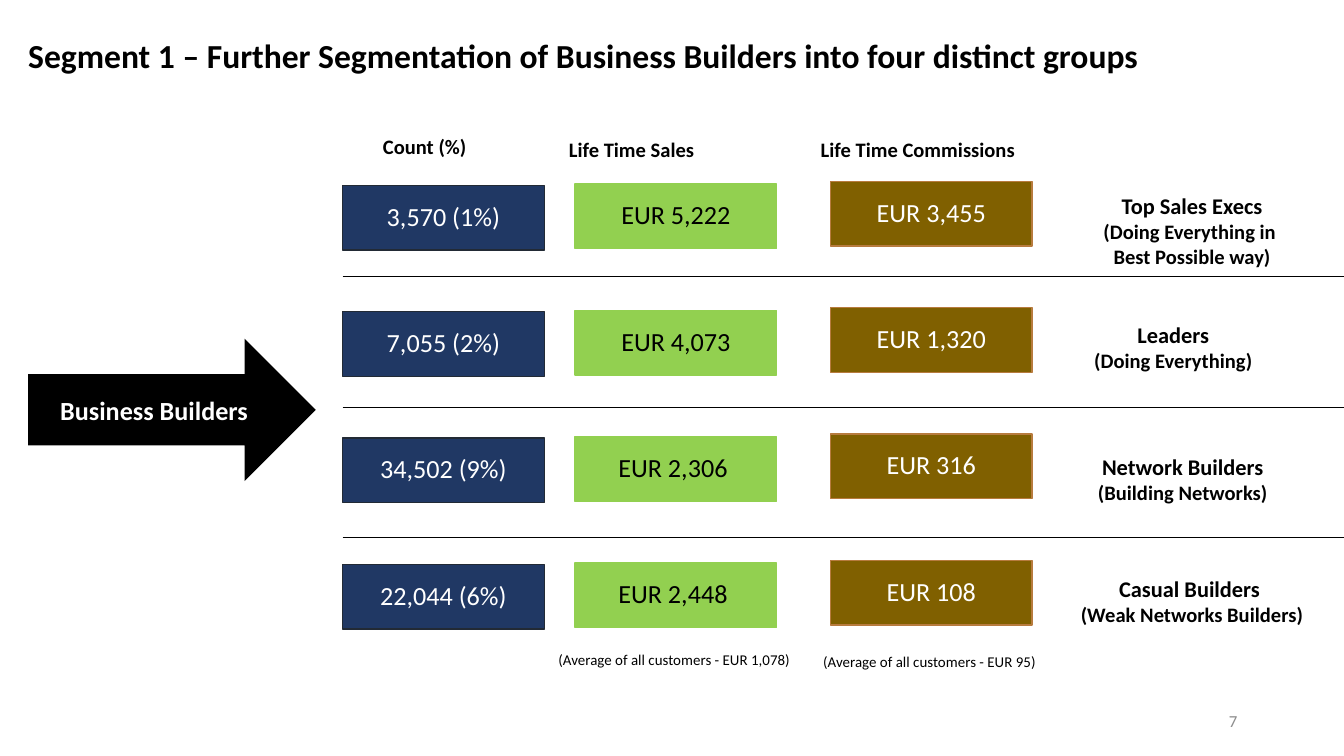
from copy import deepcopy

from lxml import etree
from pptx import Presentation
from pptx.dml.color import RGBColor
from pptx.enum.shapes import MSO_CONNECTOR as Line, MSO_SHAPE as Shape
from pptx.enum.text import MSO_ANCHOR as Anchor, PP_ALIGN as Align
from pptx.oxml.ns import qn
from pptx.util import Inches, Pt

COLORS = {
    "black": "000000", "white": "FFFFFF", "grey": "8C8C8C",
    "navy": "203864", "navy_line": "222A35", "green": "92D050",
    "brown": "806000", "brown_line": "B77B3E",
}
ROW_PITCH = 0.94
RULE_PITCH = 0.97
CELL_W, CELL_H = 1.5, 0.48
LABEL_H = 0.29

# heading, (heading centre, top, width), (cells left, top), (fill, line, text), values
COLUMNS = [
    ("Count (%)", (3.16, 0.95, 1.55), (2.55, 1.38), ("navy", "navy_line", "white"),
     ["3,570 (1%)", "7,055 (2%)", "34,502 (9%)", "22,044 (6%)"]),
    ("Life Time Sales", (4.7, 0.97, 1.55), (4.28, 1.37), ("green", "green", "black"),
     ["EUR 5,222", "EUR 4,073", "EUR 2,306 ", "EUR 2,448 "]),
    ("Life Time Commissions", (6.83, 0.97, 1.75), (6.18, 1.35),
     ("brown", "brown_line", "white"),
     ["EUR 3,455", "EUR 1,320", "EUR 316", "EUR 108"]),
]
# name, description, (centre, top, width)
SEGMENTS = [
    ("Top Sales Execs", "(Doing Everything in \vBest Possible way)", (8.87, 1.38, 1.55)),
    ("Leaders", "(Doing Everything)", (8.73, 2.34, 1.55)),
    ("Network Builders", "(Building Networks)", (8.8, 3.32, 1.55)),
    ("Casual Builders ", "(Weak Networks Builders)", (8.87, 4.23, 1.95)),
]
AVERAGES = [
    ("(Average of all customers - EUR 1,078) ", (5.03, 4.81, 2.05, 0.22)),
    ("(Average of all customers - EUR 95) ", (6.93, 4.82, 1.9, 0.22)),
]


def rgb(name):
    return RGBColor.from_string(COLORS[name])


def write(p, text, size, color="black", bold=False, align=Align.CENTER, spacing=None):
    p.text = text
    p.alignment = align
    p.line_spacing = spacing
    for r in p.runs:
        for key, value in {"name": "Calibri", "size": Pt(size), "bold": bold}.items():
            setattr(r.font, key, value)
        r.font.color.rgb = rgb(color)
    for br in p._p.findall(qn("a:br")):
        br.append(deepcopy(p.runs[0]._r.rPr))


def add_label(s, center, top, width, height=LABEL_H):
    """Add a non-wrapping text box around a centre line and return its frame."""
    box = s.shapes.add_textbox(Inches(center - width / 2), Inches(top),
                               Inches(width), Inches(height))
    box.text_frame.word_wrap = False
    return box.text_frame


def add_block(s, kind, x, y, w, h, fill, line=None):
    sp = s.shapes.add_shape(kind, Inches(x), Inches(y), Inches(w), Inches(h))
    sp.shadow.inherit = False
    sp.fill.solid()
    sp.fill.fore_color.rgb = rgb(fill)
    if line:
        sp.line.color.rgb = rgb(line)
        sp.line.width = Pt(0.75)
    else:
        sp.line.fill.background()
    sp.text_frame.vertical_anchor = Anchor.MIDDLE
    return sp.text_frame


def add_title(s, x, y, w, h):
    title = s.shapes.title
    for key, value in {"left": x, "top": y, "width": w, "height": h}.items():
        setattr(title, key, Inches(value))
    tf = title.text_frame
    tf.word_wrap = True
    tf.vertical_anchor = Anchor.MIDDLE
    write(tf.paragraphs[0],
          "Segment 1 – Further Segmentation of Business Builders into four distinct groups",
          18, bold=True, align=Align.LEFT, spacing=0.9)


def add_column(s, heading, heading_box, cells_at, colors, values):
    write(add_label(s, *heading_box).paragraphs[0], heading, 11, bold=True)
    fill, line, text_color = colors
    x, y = cells_at
    for i, value in enumerate(values):
        tf = add_block(s, Shape.RECTANGLE, x, y + i * ROW_PITCH, CELL_W, CELL_H, fill, line)
        for side in ("left", "top", "right", "bottom"):
            setattr(tf, f"margin_{side}", Inches(0.01))
        write(tf.paragraphs[0], value, 14, text_color, spacing=0.9)


def add_segment(s, name, description, box):
    tf = add_label(s, *box)
    write(tf.paragraphs[0], name, 12, bold=True)
    write(tf.add_paragraph(), description, 11, bold=True)


def add_rules(s, left, right, top, count):
    for i in range(count):
        y = Inches(top + i * RULE_PITCH)
        rule = s.shapes.add_connector(Line.STRAIGHT, Inches(left), y, Inches(right), y)
        rule.line.color.rgb = rgb("black")
        rule.line.width = Pt(0.5)
        etree.SubElement(rule._element.spPr, qn("a:effectLst"))


def add_arrow(s, x, y, w, h):
    tf = add_block(s, Shape.RIGHT_ARROW, x, y, w, h, "black")
    write(tf.paragraphs[0], "Business Builders", 14, "white", bold=True)


def add_page_number(s, center, top):
    tf = add_label(s, center, top, 0.29, 0.3)
    tf.word_wrap = True
    tf.vertical_anchor = Anchor.MIDDLE
    write(tf.paragraphs[0], "7", 9, "grey", align=Align.RIGHT)


def main():
    prs = Presentation()
    prs.slide_width = Inches(10)
    prs.slide_height = prs.slide_width * 9 // 16
    s = prs.slides.add_slide(prs.slide_layouts[5])
    add_title(s, 0.11, 0.11, 9.79, 0.64)
    for column in COLUMNS:
        add_column(s, *column)
    for text, box in AVERAGES:
        write(add_label(s, *box).paragraphs[0], text, 8, spacing=0.9)
    for segment in SEGMENTS:
        add_segment(s, *segment)
    add_rules(s, 2.55, 10, 2.06, len(SEGMENTS) - 1)
    add_arrow(s, 0.21, 2.52, 2.14, 1.06)
    add_page_number(s, 9.16, 5.21)
    prs.save("out.pptx")


if __name__ == "__main__":
    main()
